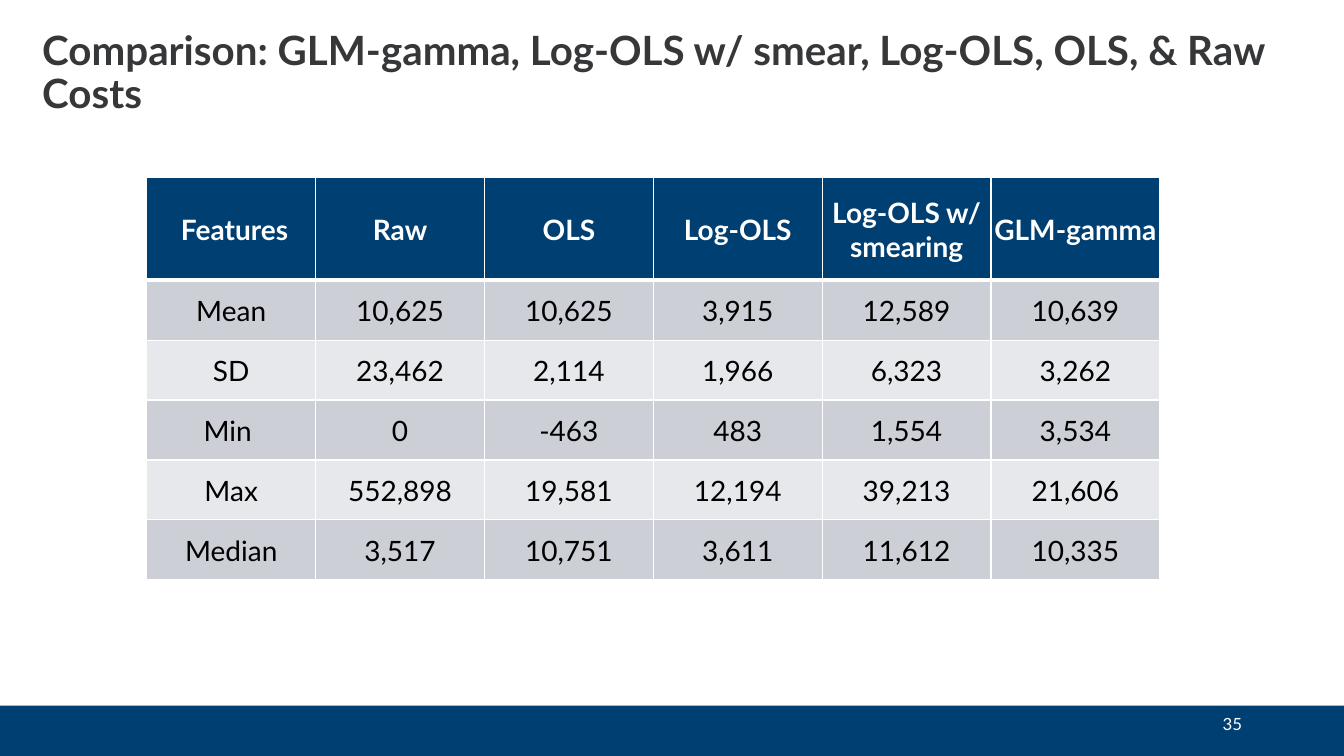
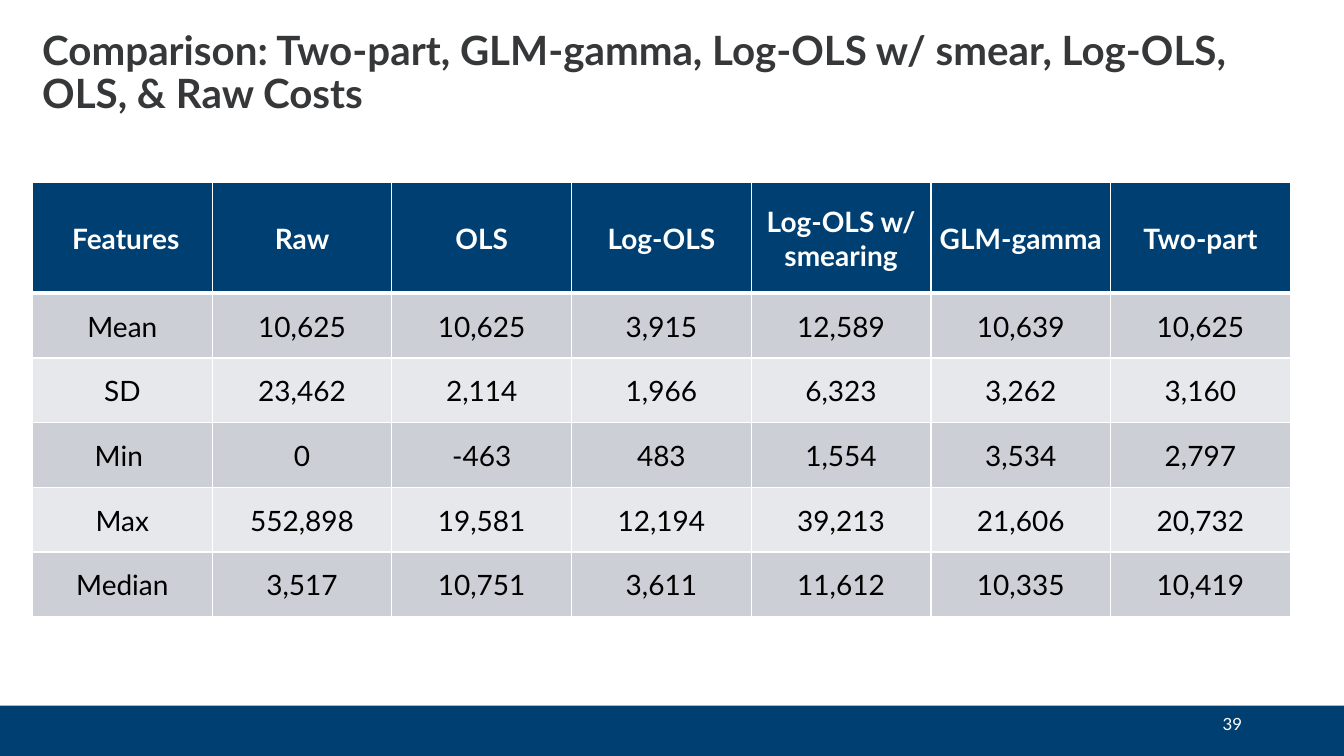
import pptx
import pptx.util
import pptx.dml.color
import pptx.enum.shapes
import pptx.enum.text
import pptx.oxml
import pptx.oxml.ns

Cm, Pt = pptx.util.Cm, pptx.util.Pt
ALIGN, ANCHOR = pptx.enum.text.PP_ALIGN, pptx.enum.text.MSO_ANCHOR

FONT = "Lato"
HEX = {
    "navy": "003F72",
    "title": "363739",
    "dark": "CCCFD5",
    "light": "E7E8EB",
    "white": "FFFFFF",
    "black": "000000",
}

COLS = [
    (" Features", "Mean", "SD", "Min ", "Max", "Median"),
    ("Raw", "10,625", "23,462", "0", "552,898", "3,517"),
    ("OLS", "10,625", "2,114", "-463", "19,581", "10,751"),
    ("Log-OLS", "3,915", "1,966", "483", "12,194", "3,611"),
    ("Log-OLS w/ smearing", "12,589", "6,323", "1,554", "39,213", "11,612"),
    ("GLM-gamma", "10,639", "3,262", "3,534", "21,606", "10,335"),
    ("Two-part", "10,625", "3,160", "2,797", "20,732", "10,419"),
]

# Table sizes in cm: left, top, width, header height, row height
SLIDES = [
    {
        "title": "Comparison: GLM-gamma, Log-OLS w/ smear, Log-OLS, OLS, & Raw Costs",
        "number": "35",
        "cols": COLS[:-1],
        "grid": (3.7, 4.47, 25.53, 2.59, 1.51),
    },
    {
        "title": "Comparison: Two-part, GLM-gamma, Log-OLS w/ smear, Log-OLS, OLS, & Raw Costs",
        "number": "39",
        "cols": COLS,
        "grid": (0.82, 4.6, 31.7, 2.79, 1.63),
    },
]


def rgb(name):
    return pptx.dml.color.RGBColor.from_string(HEX[name])


def style(par, size, color, align, bold=False):
    par.alignment = align
    for run in par.runs:
        font = run.font
        font.name, font.size, font.bold = FONT, Pt(size), bold
        font.color.rgb = rgb(color)


def place(shape, left, top, width, height):
    shape.left, shape.top = Cm(left), Cm(top)
    shape.width, shape.height = Cm(width), Cm(height)


def edge(cell, top, bottom):
    """Give a cell white borders; top and bottom are widths in points."""
    props = cell._tc.get_or_add_tcPr()
    sides = [("L", 1), ("R", 1), ("T", top), ("B", bottom)]
    for pos, (side, width) in enumerate(sides):
        line = pptx.oxml.parse_xml(
            f'<a:ln{side} {pptx.oxml.ns.nsdecls("a")} w="{int(Pt(width))}">'
            f'<a:solidFill><a:srgbClr val="{HEX["white"]}"/></a:solidFill>'
            f'</a:ln{side}>'
        )
        props.insert(pos, line)


def add_band(layout, slide):
    """Put the bottom band on the layout, so that every slide shows it."""
    band = slide.shapes.add_shape(
        pptx.enum.shapes.MSO_SHAPE.RECTANGLE, 0, Cm(17.78), Cm(33.87), Cm(1.27)
    )
    band.shadow.inherit = False
    band.fill.solid()
    band.fill.fore_color.rgb = rgb("navy")
    band.line.fill.background()
    layout.shapes.element.insert(2, band.element)


def add_title(slide, text):
    frame = slide.shapes.title.text_frame
    frame.text = text
    frame.word_wrap = True
    frame.auto_size = pptx.enum.text.MSO_AUTO_SIZE.NONE
    frame.vertical_anchor = ANCHOR.MIDDLE
    par = frame.paragraphs[0]
    par.line_spacing = 0.9
    style(par, 28.8, "title", ALIGN.LEFT, True)


def add_number(slide, text):
    box = slide.shapes.add_textbox(Cm(23.93), Cm(17.78), Cm(7.62), Cm(0.9))
    frame = box.text_frame
    frame.text = text
    frame.word_wrap = True
    frame.vertical_anchor = ANCHOR.MIDDLE
    style(frame.paragraphs[0], 12, "white", ALIGN.RIGHT)


def fill_cell(cell, text, row):
    head = row == 0
    cell.text = text
    cell.vertical_anchor = ANCHOR.MIDDLE
    cell.margin_left = cell.margin_right = cell.margin_top = Cm(0.03)
    cell.margin_bottom = 0
    cell.fill.solid()
    cell.fill.fore_color.rgb = rgb("navy" if head else "dark" if row % 2 else "light")
    edge(cell, 3 if row == 1 else 1, 3 if head else 1)
    color = "white" if head else "black"
    style(cell.text_frame.paragraphs[0], 20, color, ALIGN.CENTER, head)


def add_grid(slide, cols, grid):
    left, top, width, head, step = grid
    count = len(cols[0])
    high = head + step * (count - 1)
    table = slide.shapes.add_table(
        count, len(cols), Cm(left), Cm(top), Cm(width), Cm(high)
    ).table
    for row, line in enumerate(table.rows):
        line.height = Cm(step if row else head)
    for col, texts in enumerate(cols):
        table.columns[col].width = Cm(width / len(cols))
        for row, text in enumerate(texts):
            fill_cell(table.cell(row, col), text, row)


def main():
    deck = pptx.Presentation()
    deck.slide_width, deck.slide_height = Cm(33.87), Cm(19.05)
    layout = deck.slide_layouts.get_by_name("Title Only")
    place(layout.placeholders[0], 0.81, 0.81, 32.28, 2.11)
    for index, item in enumerate(SLIDES):
        slide = deck.slides.add_slide(layout)
        if index == 0:
            add_band(layout, slide)
        add_grid(slide, item["cols"], item["grid"])
        add_number(slide, item["number"])
        add_title(slide, item["title"])
    deck.save("out.pptx")


if __name__ == "__main__":
    main()
